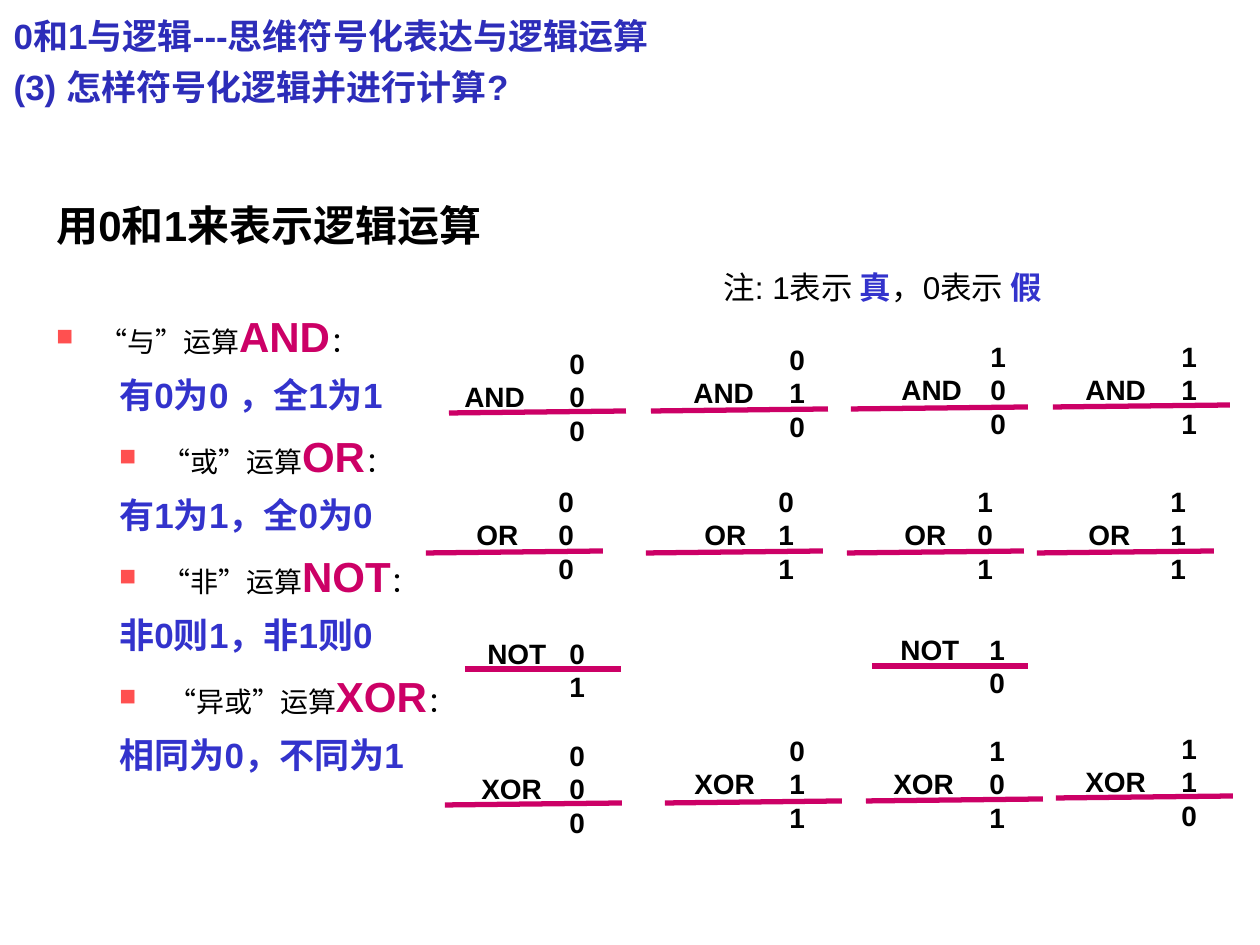
from lxml import etree
from pptx import Presentation
from pptx import util as u
from pptx.dml.color import RGBColor
from pptx.enum import shapes, text
from pptx.oxml import ns

PX = 914400 // 126  # EMU in one px
BLACK, BLUE, PINK, RED, NAVY = "000000", "3333CC", "CC0066", "FF5050", "2D2DB9"
CJK = "Noto Sans CJK SC"


def add_text_box(left, top, width, height, wrap=True):
    box = slide.shapes.add_textbox(left * PX, top * PX, width * PX, height * PX)
    box.text_frame.word_wrap = wrap
    return box.text_frame


def add_run(paragraph, content, size=16, color=BLACK, bold=False, font="Arial"):
    run = paragraph.add_run()
    run.text = content
    run.font.name, run.font.size, run.font.bold = font, u.Pt(size), bold
    run.font.color.rgb = RGBColor.from_string(color)
    east_asian = etree.SubElement(run.font._element, ns.qn("a:ea"))
    east_asian.set("typeface", CJK)
    run.font._element.find(ns.qn("a:latin")).addnext(east_asian)


presentation = Presentation()
presentation.slide_width, presentation.slide_height = u.Inches(10), u.Inches(7.5)
slide = presentation.slides.add_slide(presentation.slide_layouts[5])

# Title
title = slide.shapes.title
title.left, title.top, title.width, title.height = 1 * PX, 0, 702 * PX, 113 * PX
frame = title.text_frame
frame.word_wrap = False
frame.auto_size = text.MSO_AUTO_SIZE.NONE
frame.vertical_anchor = text.MSO_ANCHOR.TOP
for index, line in enumerate(["0和1与逻辑---思维符号化表达与逻辑运算",
                              "(3) 怎样符号化逻辑并进行计算?"]):
    paragraph = frame.add_paragraph() if index else frame.paragraphs[0]
    paragraph.alignment = text.PP_ALIGN.LEFT
    paragraph.line_spacing = 1.2
    add_run(paragraph, line, 20, NAVY, True)

# Heading and rules of the four operations
frame = add_text_box(44, 178, 588, 602)
paragraph = frame.paragraphs[0]
paragraph.line_spacing = 1.3
add_run(paragraph, "用0和1来表示逻辑运算", 24, bold=True)

rules = [
    ("与", "AND", "有0为0 ，全1为1", 43),
    ("或", "OR", "有1为1，全0为0", 106),
    ("非", "NOT", "非0则1，非1则0", 106),
    ("异或", "XOR", "相同为0，不同为1", 112),
]
for index, (name, operator, rule, margin) in enumerate(rules):
    paragraph = frame.add_paragraph()
    paragraph.line_spacing = 1.3
    if index == 0:
        paragraph.space_before = u.Pt(26)
    properties = paragraph._p.get_or_add_pPr()
    properties.set("marL", str(margin * PX))
    properties.set("indent", str((43 if index == 0 else 63) * PX - margin * PX
                                 - (43 if index == 0 else 0) * PX))
    bullet_color = etree.SubElement(properties, ns.qn("a:buClr"))
    etree.SubElement(bullet_color, ns.qn("a:srgbClr")).set("val", RED)
    etree.SubElement(properties, ns.qn("a:buFont")).set("typeface", "Arial")
    etree.SubElement(properties, ns.qn("a:buChar")).set("char", "■")
    add_run(paragraph, "“", font=CJK)
    add_run(paragraph, name)
    add_run(paragraph, "”", font=CJK)
    add_run(paragraph, "运算")
    add_run(paragraph, operator, 24, PINK, True)
    add_run(paragraph, "：")

    paragraph = frame.add_paragraph()
    paragraph.line_spacing = 1.3
    paragraph._p.get_or_add_pPr().set("marL", str(63 * PX))
    add_run(paragraph, rule, 20, BLUE, True)

# Note on the meaning of 1 and 0
paragraph = add_text_box(711, 262, 374, 50, wrap=False).paragraphs[0]
add_run(paragraph, "注: 1表示 ", 18)
add_run(paragraph, "真", 18, BLUE, True)
add_run(paragraph, "，0表示 ", 18)
add_run(paragraph, "假", 18, BLUE, True)

# Worked sums: operator, digits, box left and top, operator x, line x and y
sums = [
    ("AND", "000", 431, 340, 465, 449, 413),
    ("AND", "010", 651, 336, 694, 651, 411),
    ("AND", "100", 852, 333, 902, 851, 409),
    ("AND", "111", 1043, 333, 1086, 1053, 407),
    ("OR", "000", 420, 478, 477, 426, 553),
    ("OR", "011", 640, 478, 705, 646, 553),
    ("OR", "101", 839, 478, 905, 847, 553),
    ("OR", "111", 1032, 478, 1089, 1037, 553),
    ("NOT", "01", 431, 630, 488, 465, 669),
    ("NOT", "10", 851, 626, 901, 872, 666),
    ("XOR", "000", 431, 732, 482, 445, 805),
    ("XOR", "011", 651, 727, 695, 665, 803),
    ("XOR", "101", 851, 727, 894, 866, 801),
    ("XOR", "110", 1043, 725, 1086, 1056, 798),
]
for operator, digits, left, top, operator_x, line_x, line_y in sums:
    frame = add_text_box(left, top, 170, 12 + 34 * len(digits))
    for row, digit in enumerate(digits):
        paragraph = frame.add_paragraph() if row else frame.paragraphs[0]
        has_operator = row == len(digits) - 2
        tabs = etree.SubElement(paragraph._p.get_or_add_pPr(), ns.qn("a:tabLst"))
        for stop in ([operator_x - left - 13] if has_operator else []) + [126]:
            etree.SubElement(tabs, ns.qn("a:tab"), pos=str(stop * PX), algn="l")
        label = f"\t{operator}" if has_operator else ""
        add_run(paragraph, f"{label}\t{digit}", bold=True)

    line_width, rise = (156, 0) if operator == "NOT" else (177, 2)
    line = slide.shapes.add_connector(
        shapes.MSO_CONNECTOR.STRAIGHT, line_x * PX, line_y * PX,
        (line_x + line_width) * PX, (line_y - rise) * PX)
    line.line.color.rgb = RGBColor.from_string(PINK)
    line.line.width = u.Pt(3)
    etree.SubElement(line._element.spPr, ns.qn("a:effectLst"))

presentation.save("out.pptx")
